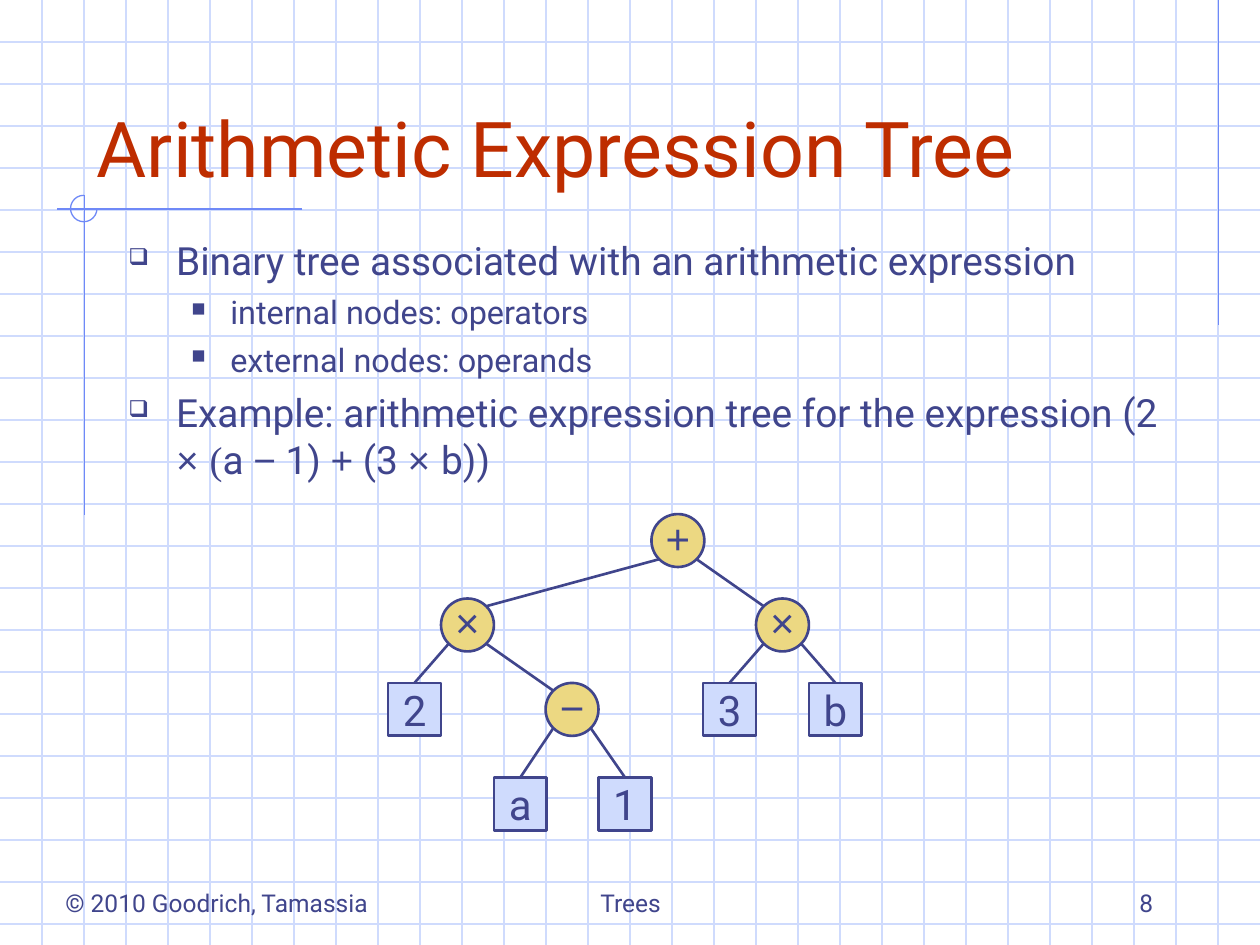
from lxml.etree import SubElement
from pptx import Presentation
from pptx.dml.color import RGBColor
from pptx.enum.shapes import MSO_CONNECTOR, MSO_SHAPE
from pptx.enum.text import MSO_ANCHOR, PP_ALIGN
from pptx.oxml.ns import qn
from pptx.util import Inches, Pt

INK = RGBColor(0x40, 0x45, 0x8C)
RED = RGBColor(0xBE, 0x2D, 0x00)
GOLD = RGBColor(0xEC, 0xD8, 0x82)
PALE = RGBColor(0xCF, 0xDB, 0xFD)
BLUE = RGBColor(0x6F, 0x89, 0xF7)
SANS, MATH, SERIF = "Roboto", "Arial", "Times New Roman"

WIDE, HIGH = 10, 7.5
STEP = 1 / 3
NODE = 0.42
DIAG = NODE / 2 * 0.707

# Level, then runs of text and font
POINTS = [
    (0, [("Binary tree associated with an arithmetic expression", SANS)]),
    (1, [("internal nodes: operators", SANS)]),
    (1, [("external nodes: operands", SANS)]),
    (0, [("Example: arithmetic expression tree for the expression (2 ", SANS),
         ("× ", MATH), ("(", SERIF), ("a ", SANS), ("−", MATH), (" 1) ", SANS),
         ("+", MATH), (" (3 ", SANS), ("× ", MATH), ("b))", SANS)]),
]
# Per level: size, left margin, hang, space before, bullet
LEVELS = [(22.2, 0.38, 0.38, 6, "❑"), (18.5, 0.81, 0.31, 5, "■")]

# Label, left, top, children; a node without children is an operand
TREE = ("+", 5.17, 4.08, [
    ("×", 3.5, 4.75, [
        ("2", 3.08, 5.42, []),
        ("−", 4.33, 5.42, [("a", 3.92, 6.17, []), ("1", 4.75, 6.17, [])])]),
    ("×", 6, 4.75, [("3", 5.58, 5.42, []), ("b", 6.42, 5.42, [])]),
])


def add_line(slide, start, end, color, width=0.74):
    """Draw a straight line between two points."""
    ends = [Inches(n) for n in (*start, *end)]
    line = slide.shapes.add_connector(MSO_CONNECTOR.STRAIGHT, *ends)
    line.line.color.rgb = color
    line.line.width = Pt(width)
    SubElement(line._element.spPr, qn("a:effectLst"))


def add_run(para, text, size, font=SANS, color=INK):
    """Append one styled run to a paragraph."""
    run = para.add_run()
    run.text = text
    run.font.size = Pt(size)
    run.font.name = font
    run.font.color.rgb = color


def add_box(slide, left, top, width, height, anchor):
    """Add a wrapping text box and return its frame."""
    box = slide.shapes.add_textbox(*map(Inches, (left, top, width, height)))
    frame = box.text_frame
    frame.word_wrap = True
    frame.vertical_anchor = anchor
    return frame


def add_label(slide, place, text, size, color=INK, align=PP_ALIGN.LEFT):
    """Add a single line of text resting on the bottom of its box."""
    para = add_box(slide, *place, MSO_ANCHOR.BOTTOM).paragraphs[0]
    para.alignment = align
    add_run(para, text, size, color=color)


def add_bullet(para, mark, left, hang):
    """Give a paragraph a hanging bullet."""
    props = para._p.get_or_add_pPr()
    props.set("marL", str(Inches(left)))
    props.set("indent", str(-Inches(hang)))
    tint = SubElement(props, qn("a:buClr"))
    SubElement(tint, qn("a:srgbClr"), val=str(INK))
    SubElement(props, qn("a:buSzPct"), val="60000")
    SubElement(props, qn("a:buChar"), char=mark)


def add_points(slide):
    """Write the bulleted body text."""
    frame = add_box(slide, 0.92, 1.83, 8.5, 2.17, MSO_ANCHOR.TOP)
    for i, (level, runs) in enumerate(POINTS):
        para = frame.add_paragraph() if i else frame.paragraphs[0]
        size, left, hang, space, mark = LEVELS[level]
        para.level = level
        para.space_before = Pt(space)
        add_bullet(para, mark, left, hang)
        for text, font in runs:
            add_run(para, text, size, font)


def add_grid(slide):
    """Rule the background and draw the accent lines with their arc."""
    for i in range(1, 23):
        add_line(slide, (0, i * STEP), (WIDE, i * STEP), PALE)
    for i in range(1, 30):
        add_line(slide, (i * STEP, 0), (i * STEP, HIGH), PALE)
    add_line(slide, (9.67, 0), (9.67, 2.58), BLUE)
    add_line(slide, (2.4, 1.66), (0.45, 1.66), BLUE)
    add_line(slide, (0.67, 1.55), (0.67, 4.09), BLUE)
    place = map(Inches, (0.56, 1.55, 0.21, 0.21))
    arc = slide.shapes.add_shape(MSO_SHAPE.ARC, *place)
    arc.adjustments[0] = 0
    arc.adjustments[1] = 162  # 270 degrees
    arc.shadow.inherit = False
    arc.fill.background()
    arc.line.color.rgb = BLUE
    arc.line.width = Pt(0.74)


def add_node(slide, label, left, top, inner):
    """Draw an operator as a circle or an operand as a square."""
    kind = MSO_SHAPE.OVAL if inner else MSO_SHAPE.RECTANGLE
    place = map(Inches, (left, top, NODE, NODE))
    node = slide.shapes.add_shape(kind, *place)
    node.shadow.inherit = False
    node.fill.solid()
    node.fill.fore_color.rgb = GOLD if inner else PALE
    node.line.color.rgb = INK
    node.line.width = Pt(1.5)
    frame = node.text_frame
    frame.word_wrap = False
    frame.vertical_anchor = MSO_ANCHOR.MIDDLE
    if inner:
        frame.margin_left = frame.margin_right = frame.margin_top = 0
    para = frame.paragraphs[0]
    para.alignment = PP_ALIGN.CENTER
    add_run(para, label, 24, MATH if inner else SANS)


def add_edge(slide, upper, lower):
    """Join a parent's lower diagonal to a child's nearest edge."""
    half = NODE / 2
    x, y = upper[1] + half, upper[2] + half
    u, v = lower[1] + half, lower[2] + half
    side = DIAG if u > x else -DIAG
    end = (u - side, v - DIAG) if lower[3] else (u, lower[2])
    add_line(slide, (x + side, y + DIAG), end, INK, 1.5)


def add_tree(slide, tree):
    """Draw a node, its subtrees and the edges to them."""
    label, left, top, kids = tree
    add_node(slide, label, left, top, bool(kids))
    for kid in kids:
        add_tree(slide, kid)
        add_edge(slide, tree, kid)


def main():
    """Build and save the slide."""
    deck = Presentation()
    deck.slide_width, deck.slide_height = Inches(WIDE), Inches(HIGH)
    slide = deck.slides.add_slide(deck.slide_layouts[6])
    add_grid(slide)
    add_label(slide, (0.67, 0.33, 8.5, 1.25), "Arithmetic Expression Tree", 44, RED)
    add_points(slide)
    add_tree(slide, TREE)
    add_label(slide, (0.42, 6.83, 2.75, 0.5), "© 2010 Goodrich, Tamassia", 14)
    add_label(slide, (3.42, 6.83, 3.17, 0.5), "Trees", 14, align=PP_ALIGN.CENTER)
    add_label(slide, (7.17, 6.83, 2.08, 0.5), "8", 14, align=PP_ALIGN.RIGHT)
    deck.save("out.pptx")


main()
